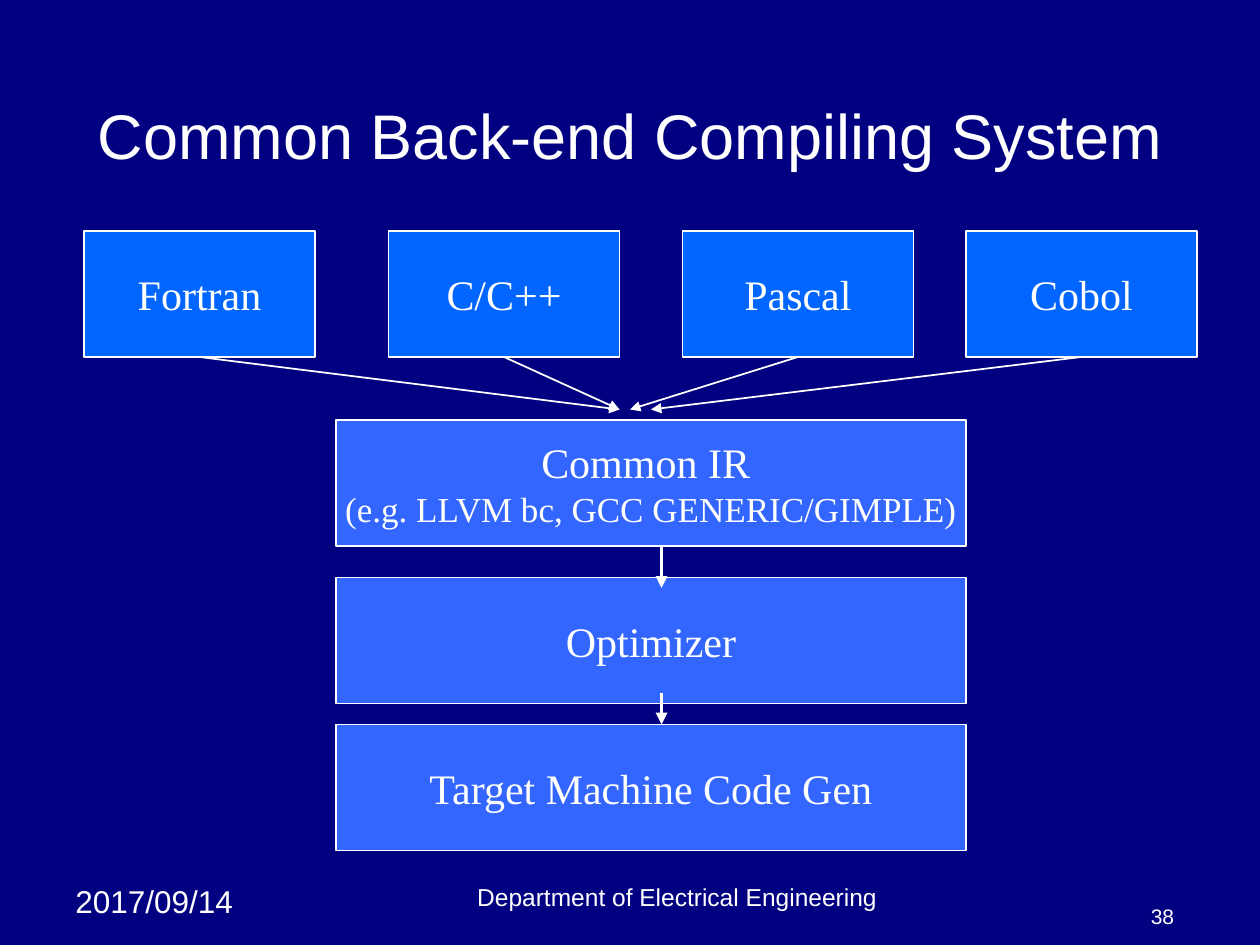
from dataclasses import dataclass

import lxml.etree
import pptx
import pptx.dml.color
import pptx.enum.shapes
import pptx.enum.text
import pptx.oxml.ns
import pptx.util

NAVY = pptx.dml.color.RGBColor(0x00, 0x00, 0x80)
LANGUAGE_BLUE = pptx.dml.color.RGBColor(0x00, 0x66, 0xFF)
STAGE_BLUE = pptx.dml.color.RGBColor(0x33, 0x66, 0xFF)
WHITE = pptx.dml.color.RGBColor(0xFF, 0xFF, 0xFF)

SANS = "Arial"
SERIF = "Times New Roman"
ALIGN = pptx.enum.text.PP_ALIGN
ANCHOR = pptx.enum.text.MSO_ANCHOR

# The slide is a grid of 120 columns by 90 rows, twelve to the inch.
CELLS_PER_INCH = 12
BOX_HEIGHT = 12
LANGUAGE_TOP, LANGUAGE_WIDTH = 22, 22
STAGE_LEFT, STAGE_WIDTH = 32, 60
MERGE_ROW = 39
FLOW_COLUMN = 63


@dataclass(frozen=True)
class Language:
    name: str
    left: float
    arrow_start: float
    arrow_end: float


@dataclass(frozen=True)
class Stage:
    lines: tuple[tuple[str, int], ...]
    top: float


@dataclass(frozen=True)
class Caption:
    text: str
    area: tuple[float, float, float, float]
    size: int
    alignment: ALIGN
    anchor: ANCHOR


LANGUAGES = (
    Language("Fortran", 8, 19, 59),
    Language("C/C++", 37, 48, 59),
    Language("Pascal", 65, 76, 60),
    Language("Cobol", 92, 103, 62),
)
STAGES = (
    Stage((("Common IR ", 24), ("(e.g. LLVM bc, GCC GENERIC/GIMPLE)", 20)), 40),
    Stage((("Optimizer", 24),), 55),
    Stage((("Target Machine Code Gen", 24),), 69),
)
FLOW_ROWS = ((66, 69), (52, 56))
CAPTIONS = (
    Caption("2017/09/14", (6, 83.4, 19, 4.8), 18, ALIGN.LEFT, ANCHOR.TOP),
    Caption("Department of Electrical Engineering", (24, 83.4, 81, 4), 14, ALIGN.CENTER, ANCHOR.BOTTOM),
    Caption("38", (105, 85, 8, 4), 12, ALIGN.RIGHT, ANCHOR.BOTTOM),
)


def cells(count: float) -> pptx.util.Length:
    return pptx.util.Inches(count / CELLS_PER_INCH)


def write_lines(text_frame, lines, font_name: str, alignment=ALIGN.CENTER, anchor=ANCHOR.MIDDLE) -> None:
    """Fill a text frame with one white paragraph for each (text, size) pair."""
    text_frame.vertical_anchor = anchor
    for index, (text, size) in enumerate(lines):
        paragraph = text_frame.add_paragraph() if index else text_frame.paragraphs[0]
        paragraph.text = text
        paragraph.alignment = alignment
        paragraph.font.name = font_name
        paragraph.font.size = pptx.util.Pt(size)
        paragraph.font.color.rgb = WHITE


def add_box(slide, left: float, top: float, width: float, fill, lines) -> None:
    shape = slide.shapes.add_shape(
        pptx.enum.shapes.MSO_SHAPE.RECTANGLE, cells(left), cells(top), cells(width), cells(BOX_HEIGHT)
    )
    shape.shadow.inherit = False
    shape.fill.solid()
    shape.fill.fore_color.rgb = fill
    shape.line.color.rgb = WHITE
    shape.line.width = pptx.util.Pt(1)
    shape.text_frame.word_wrap = False
    write_lines(shape.text_frame, lines, SERIF)


def add_arrow(slide, start: tuple[float, float], end: tuple[float, float], weight: float) -> None:
    connector = slide.shapes.add_connector(
        pptx.enum.shapes.MSO_CONNECTOR.STRAIGHT, *map(cells, start + end)
    )
    connector.line.color.rgb = WHITE
    connector.line.width = pptx.util.Pt(weight)
    qualified = pptx.oxml.ns.qn
    lxml.etree.SubElement(connector.line._get_or_add_ln(), qualified("a:tailEnd"), type="triangle")
    lxml.etree.SubElement(connector._element.spPr, qualified("a:effectLst"))


def add_caption(slide, caption: Caption) -> None:
    text_box = slide.shapes.add_textbox(*map(cells, caption.area))
    text_box.text_frame.word_wrap = True
    write_lines(text_box.text_frame, ((caption.text, caption.size),), SANS, caption.alignment, caption.anchor)


def format_title(slide, text: str) -> None:
    title = slide.shapes.title
    title.left, title.top, title.width, title.height = map(cells, (6, 7, 108, 11.6))
    title.text_frame.auto_size = pptx.enum.text.MSO_AUTO_SIZE.NONE
    write_lines(title.text_frame, ((text, 36),), SANS)


def main() -> None:
    presentation = pptx.Presentation()
    presentation.slide_width, presentation.slide_height = cells(120), cells(90)
    slide = presentation.slides.add_slide(presentation.slide_layouts.get_by_name("Title Only"))
    slide.background.fill.solid()
    slide.background.fill.fore_color.rgb = NAVY

    format_title(slide, "Common Back-end Compiling System")
    for caption in CAPTIONS:
        add_caption(slide, caption)
    for language in LANGUAGES:
        add_box(slide, language.left, LANGUAGE_TOP, LANGUAGE_WIDTH, LANGUAGE_BLUE, ((language.name, 24),))
    for stage in STAGES:
        add_box(slide, STAGE_LEFT, stage.top, STAGE_WIDTH, STAGE_BLUE, stage.lines)
    for language in LANGUAGES:
        start = (language.arrow_start, LANGUAGE_TOP + BOX_HEIGHT)
        add_arrow(slide, start, (language.arrow_end, MERGE_ROW), 1)
    for start_row, end_row in FLOW_ROWS:
        add_arrow(slide, (FLOW_COLUMN, start_row), (FLOW_COLUMN, end_row), 2.25)

    presentation.save("out.pptx")


if __name__ == "__main__":
    main()
